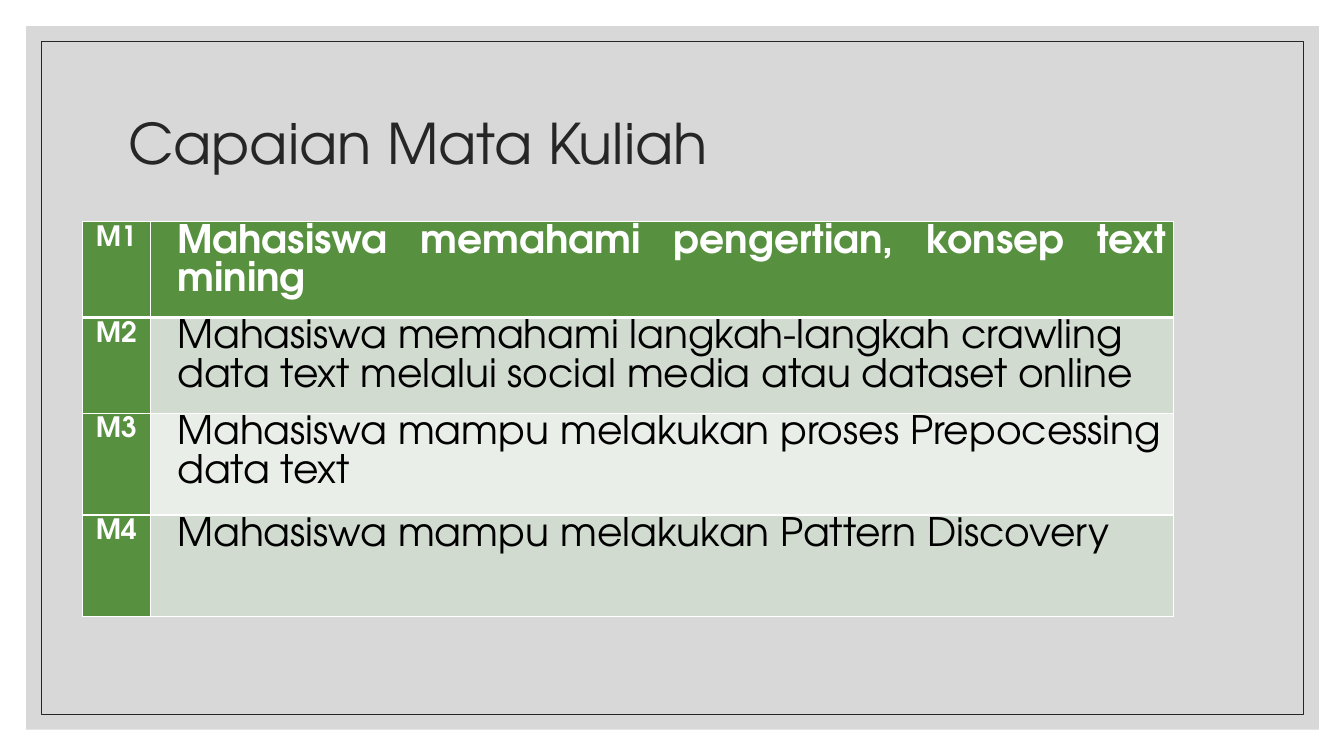
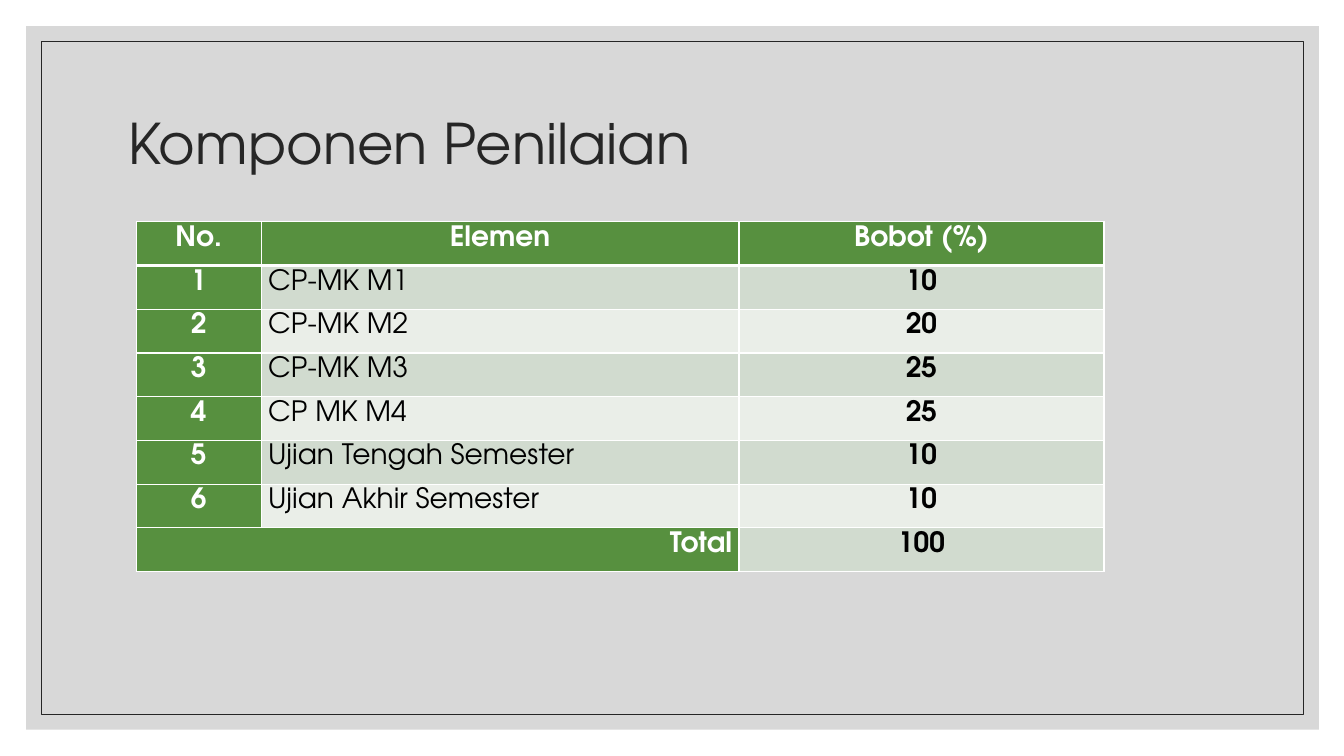
from lxml import etree
from pptx import Presentation
from pptx.dml.color import RGBColor
from pptx.enum.shapes import MSO_SHAPE
from pptx.enum.text import MSO_ANCHOR, PP_ALIGN
from pptx.oxml.ns import qn
from pptx.util import Inches, Pt

RECT = MSO_SHAPE.RECTANGLE
MIDDLE = MSO_ANCHOR.MIDDLE
LEFT, CENTER, RIGHT, JUSTIFY = PP_ALIGN.LEFT, PP_ALIGN.CENTER, PP_ALIGN.RIGHT, PP_ALIGN.JUSTIFY
FONT = "TeX Gyre Adventor"
COLORS = {
    "ink": "262626", "panel": "BFBFBF", "white": "FFFFFF", "black": "000000",
    "head": "57903F", "odd": "D1DBCF", "even": "EAEEE8",
}


def color(name):
    return RGBColor.from_string(COLORS[name])


class Deck:
    def __init__(self):
        self.prs = Presentation()
        self.prs.slide_width, self.prs.slide_height = Inches(13.33), Inches(7.5)
        self.layout = self.prs.slide_layouts[5]
        self.slide = None
        title = self.layout.placeholders[0]
        title.left, title.top = Inches(1.17), Inches(0.7)
        title.width, title.height = Inches(11), Inches(1.5)

    def start(self, title):
        first = self.slide is None
        self.slide = self.prs.slides.add_slide(self.layout)
        if first:
            self.frame()
        shape = self.slide.shapes.title
        shape.text_frame.text = title
        shape.text_frame.vertical_anchor = MIDDLE
        para = shape.text_frame.paragraphs[0]
        para.alignment = LEFT
        para.line_spacing = 0.9
        self.font(para, 40, "ink", False)

    def frame(self):
        panel = self.rect(0.26, 12.82, 6.98)
        panel.fill.solid()
        panel.fill.fore_color.rgb = color("panel")
        panel.line.fill.background()
        tint = panel.element.spPr.find(qn("a:solidFill"))[0]
        etree.SubElement(tint, qn("a:alpha"), val="60000")
        edge = self.rect(0.41, 12.52, 6.68)
        edge.fill.background()
        edge.line.color.rgb = color("ink")
        edge.line.width = Pt(0.5)
        for step, shape in enumerate((panel, edge)):
            shape.element.nvSpPr.cNvPr.set("id", str(100 + step))
            self.layout.shapes.element.insert(2 + step, shape.element)

    def rect(self, inset, width, height):
        shape = self.slide.shapes.add_shape(
            RECT, Inches(inset), Inches(inset), Inches(width), Inches(height))
        shape.shadow.inherit = False
        return shape

    def font(self, para, size, ink, bold):
        para.font.name = FONT
        para.font.size = Pt(size)
        para.font.bold = bold
        para.font.color.rgb = color(ink)

    def table(self, left, cols, rows, data):
        table = self.slide.shapes.add_table(
            len(rows), len(cols), Inches(left), Inches(2.2),
            Inches(sum(cols)), Inches(sum(rows))).table
        for col, width in zip(table.columns, cols):
            col.width = Inches(width)
        for row, height in zip(table.rows, rows):
            row.height = Inches(height)
        for r, line in enumerate(data):
            for c, text in enumerate(line):
                self.cell(table.cell(r, c), text, r, c)
        return table

    def cell(self, cell, text, row, col):
        head = row == 0 or col == 0
        cell.margin_left = cell.margin_right = Inches(0.07)
        cell.margin_top = cell.margin_bottom = 0
        cell.fill.solid()
        cell.fill.fore_color.rgb = color("head" if head else "odd" if row % 2 else "even")
        self.border(cell, {"L": 1, "R": 1, "T": 3 if row == 1 else 1, "B": 1 if row else 3})
        cell.text = text
        para = cell.text_frame.paragraphs[0]
        para.alignment = LEFT if col == 1 and row else CENTER
        para.line_spacing = 1.15
        para.space_after = Pt(10)
        self.font(para, 20, "white" if head else "black", head or col == 2)

    def border(self, cell, sides):
        props = cell._tc.get_or_add_tcPr()
        for spot, (side, width) in enumerate(sides.items()):
            line = etree.Element(qn("a:ln" + side), w=str(Pt(width)))
            fill = etree.SubElement(line, qn("a:solidFill"))
            etree.SubElement(fill, qn("a:srgbClr"), val=COLORS["white"])
            props.insert(spot, line)

    def prose(self, cell, align):
        para = cell.text_frame.paragraphs[0]
        para.alignment = align
        para.line_spacing = 1.07
        para.space_after = Pt(6)
        para.font.size = Pt(28)
        props = para._p.get_or_add_pPr()
        props.set("marL", str(Inches(0.2)))
        props.set("indent", "0")


def main():
    deck = Deck()

    deck.start("Capaian Mata Kuliah")
    goals = [
        "Mahasiswa memahami pengertian, konsep text mining",
        "Mahasiswa memahami langkah-langkah crawling data text melalui social media atau dataset online",
        "Mahasiswa mampu melakukan proses Prepocessing data text",
        "Mahasiswa mampu melakukan Pattern Discovery",
    ]
    data = [(f"M{n}", goal) for n, goal in enumerate(goals, 1)]
    table = deck.table(0.82, [0.67, 10.15], [0.95, 0.95, 1.01, 1.01], data)
    for row in range(len(goals)):
        deck.prose(table.cell(row, 1), LEFT if row else JUSTIFY)

    deck.start("Komponen Penilaian")
    parts = [
        ("CP-MK M1", 10), ("CP-MK M2", 20), ("CP-MK M3", 25), ("CP MK M4", 25),
        ("Ujian Tengah Semester", 10), ("Ujian Akhir Semester", 10),
    ]
    data = [("No.", "Elemen", "Bobot (%)")]
    data += [(str(n), name, str(share)) for n, (name, share) in enumerate(parts, 1)]
    data.append(("Total", "", str(sum(share for _, share in parts))))
    table = deck.table(1.35, [1.24, 4.74, 3.62], [0.434] * len(data), data)
    last = len(data) - 1
    total = table.cell(last, 0)
    total.merge(table.cell(last, 1))
    total.text_frame.paragraphs[0].alignment = RIGHT

    deck.prs.save("out.pptx")


if __name__ == "__main__":
    main()
